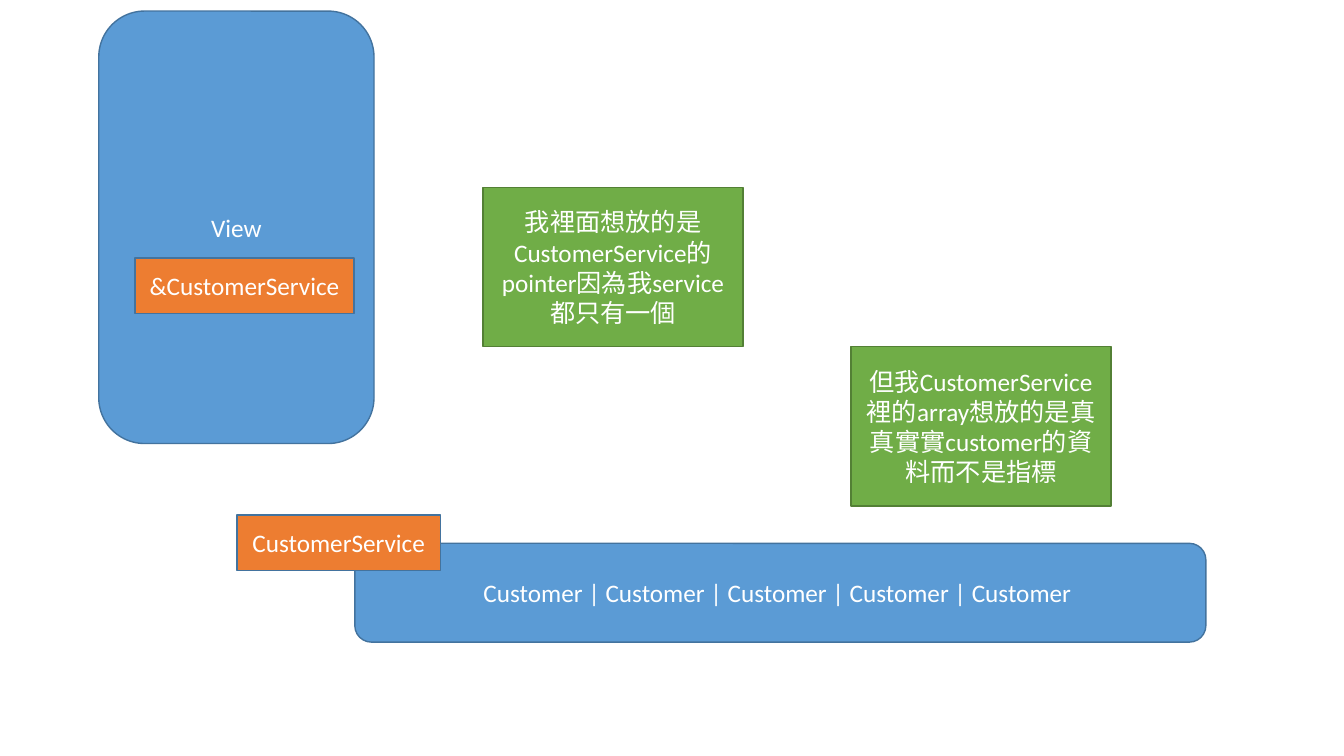
from pptx import Presentation
from pptx.dml.color import RGBColor
from pptx.enum.shapes import MSO_SHAPE as SHAPE
from pptx.enum.text import MSO_ANCHOR as ANCHOR, PP_ALIGN as ALIGN
from pptx.util import Inches, Pt

# Content: text, left, top, width, height (inches)
CUSTOMERS = "Customer | " * 4 + "Customer "
CONTAINERS = [
    (CUSTOMERS, 3.52, 5.39, 8.44, 0.98),
    ("View", 0.98, 0.11, 2.73, 4.29),
]
SERVICES = [
    ("CustomerService", 2.35, 5.11, 2.02, 0.55),
    ("&CustomerService", 1.34, 2.56, 2.17, 0.55),
]
NOTES = [
    ("我裡面想放的是CustomerService的pointer因為我service都只有一個",
     4.79, 1.86, 2.58, 1.58),
    ("但我CustomerService裡的array想放的是真真實實customer的資料而不是指標",
     8.44, 3.44, 2.58, 1.58),
]

# Groups from back to front: boxes, outline form, fill, line
GROUPS = [
    (CONTAINERS, SHAPE.ROUNDED_RECTANGLE, "5B9BD5", "43739E"),
    (SERVICES, SHAPE.RECTANGLE, "ED7D31", "43739E"),
    (NOTES, SHAPE.RECTANGLE, "70AD47", "538035"),
]


def color(hex_code):
    return RGBColor.from_string(hex_code)


def write(frame, text, size=18, font="Calibri", ink="FFFFFF"):
    frame.word_wrap = True
    frame.vertical_anchor = ANCHOR.MIDDLE
    line = frame.paragraphs[0]
    line.alignment = ALIGN.CENTER
    run = line.add_run()
    run.text = text
    run.font.size = Pt(size)
    run.font.name = font
    run.font.color.rgb = color(ink)


def add_box(slide, form, text, place, fill, outline):
    box = slide.shapes.add_shape(form, *map(Inches, place))
    box.shadow.inherit = False
    box.fill.solid()
    box.fill.fore_color.rgb = color(fill)
    box.line.color.rgb = color(outline)
    box.line.width = Pt(1)
    write(box.text_frame, text)


def main():
    deck = Presentation()
    deck.slide_width, deck.slide_height = Inches(13.33), Inches(7.5)
    slide = deck.slides.add_slide(deck.slide_layouts[6])  # blank layout

    for boxes, form, fill, outline in GROUPS:
        for text, *place in boxes:
            add_box(slide, form, text, place, fill, outline)

    deck.save("out.pptx")


if __name__ == "__main__":
    main()
